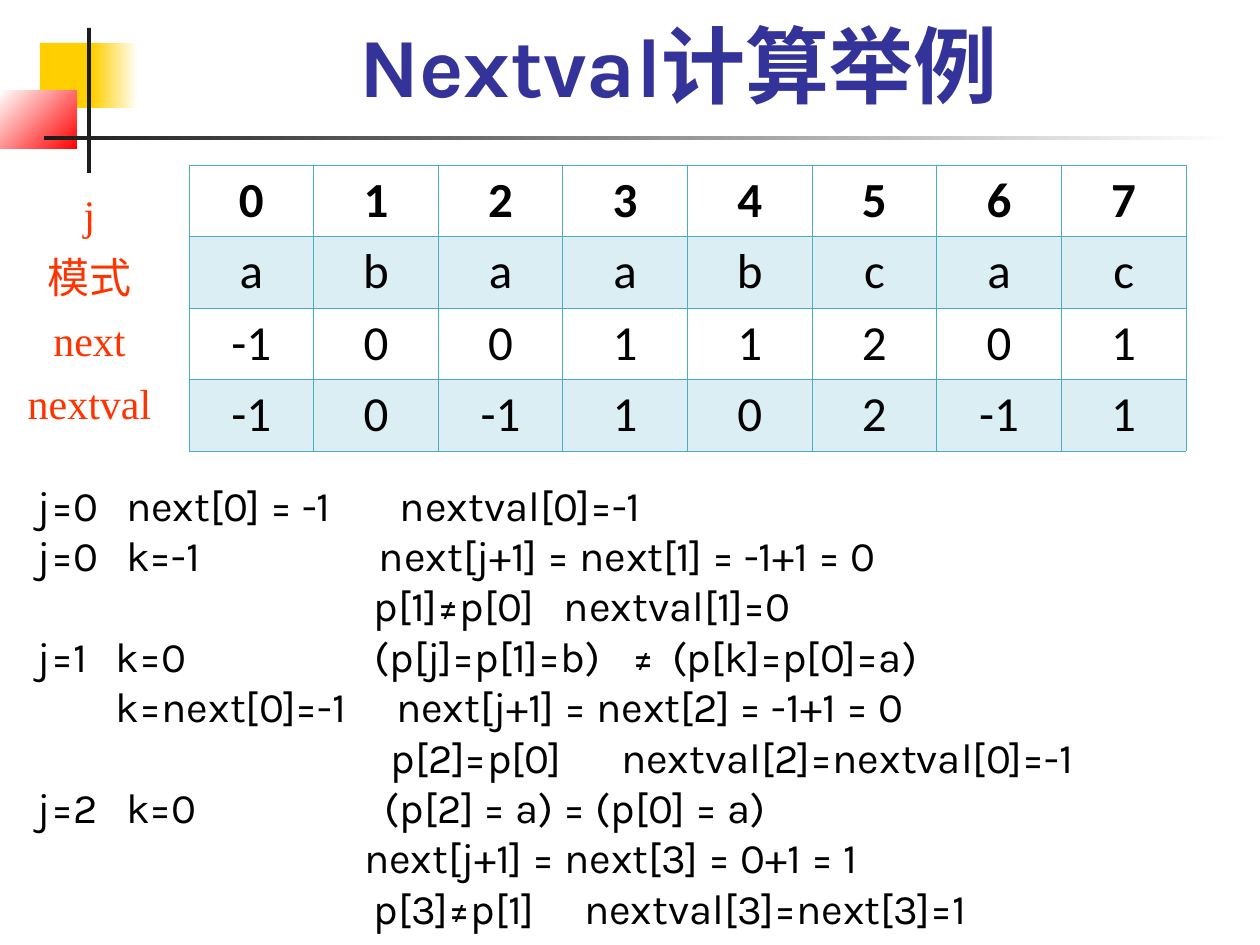
import lxml.etree
import pptx
import pptx.dml.color
import pptx.enum.shapes
import pptx.enum.text
import pptx.oxml.ns
import pptx.util

SCALE = 914400 / 126
RGBColor = pptx.dml.color.RGBColor
GOLD = RGBColor(0xFF, 0xCF, 0x01)
WHITE = RGBColor(0xFF, 0xFF, 0xFF)
RED = RGBColor(0xFF, 0x00, 0x00)
CHARCOAL = RGBColor(0x1C, 0x1C, 0x1C)
NAVY = RGBColor(0x33, 0x33, 0x99)
ORANGE = RGBColor(0xFF, 0x33, 0x00)
BLACK = RGBColor(0x00, 0x00, 0x00)
TEAL = RGBColor(0x4B, 0xAC, 0xC6)
LEFT = pptx.enum.text.PP_ALIGN.LEFT
CENTER = pptx.enum.text.PP_ALIGN.CENTER
MIDDLE = pptx.enum.text.MSO_ANCHOR.MIDDLE
qn = pptx.oxml.ns.qn


def px(*lengths):
    return [pptx.util.Emu(round(length * SCALE)) for length in lengths]


def write_text(frame, text, font, size, color, bold=False, align=LEFT, spacing=None):
    for index, line in enumerate(text.split("\n")):
        paragraph = frame.add_paragraph() if index else frame.paragraphs[0]
        paragraph.alignment = align
        paragraph.line_spacing = spacing
        run = paragraph.add_run()
        run.text = line
        run.font.name = font
        run.font.size = pptx.util.Pt(size)
        run.font.bold = bold
        run.font.color.rgb = color


presentation = pptx.Presentation()
presentation.slide_width, presentation.slide_height = px(1260, 945)
slide = presentation.slides.add_slide(presentation.slide_layouts[6])

decorations = [
    ((40, 43, 61, 65), [GOLD], 0),
    ((93, 43, 45, 65), [GOLD, WHITE], 0),
    ((0, 91, 77, 58), [WHITE, RED], 315),
    ((87, 28, 4, 145), [CHARCOAL], 0),
    ((44, 136, 1191, 4), [CHARCOAL, WHITE], 0),
]
for bounds, colors, angle in decorations:
    shape = slide.shapes.add_shape(pptx.enum.shapes.MSO_SHAPE.RECTANGLE, *px(*bounds))
    shape.shadow.inherit = False
    shape.line.fill.background()
    if len(colors) == 1:
        shape.fill.solid()
        shape.fill.fore_color.rgb = colors[0]
    else:
        shape.fill.gradient()
        shape.fill.gradient_angle = angle
        for stop, color in zip(shape.fill.gradient_stops, colors):
            stop.color.rgb = color

title = slide.shapes.add_textbox(*px(136, 26, 1085, 95)).text_frame
title.word_wrap = True
title.vertical_anchor = pptx.enum.text.MSO_ANCHOR.BOTTOM
write_text(title, "Nextval计算举例", "Karla", 48, NAVY, bold=True, align=CENTER)

labels = slide.shapes.add_textbox(*px(15, 170, 149, 265)).text_frame
labels.word_wrap = False
write_text(labels, "j\n模式\nnext\nnextval", "Times New Roman", 24, ORANGE,
           align=CENTER, spacing=1.25)

rows = [
    "0 1 2 3 4 5 6 7".split(),
    "a b a a b c a c".split(),
    "-1 0 0 1 1 2 0 1".split(),
    "-1 0 -1 1 0 2 -1 1".split(),
]
table = slide.shapes.add_table(len(rows), len(rows[0]), *px(189, 165, 997, 286)).table
table.first_row = False
table.horz_banding = False
for row_index, values in enumerate(rows):
    for column_index, value in enumerate(values):
        cell = table.cell(row_index, column_index)
        cell.vertical_anchor = MIDDLE
        cell.margin_top, cell.margin_bottom = px(5, 5)
        write_text(cell.text_frame, value, "Calibri", 28, BLACK,
                   bold=row_index == 0, align=CENTER)
        properties = cell._tc.get_or_add_tcPr()
        for side in ("lnL", "lnR", "lnT", "lnB"):
            heavy = (row_index, side) in [(0, "lnB"), (1, "lnT")]
            width = pptx.util.Pt(0.96 if heavy else 0.45)
            border = lxml.etree.SubElement(properties, qn(f"a:{side}"), w=str(width))
            solid = lxml.etree.SubElement(border, qn("a:solidFill"))
            lxml.etree.SubElement(solid, qn("a:srgbClr"), val=str(TEAL))
        if row_index % 2:
            cell.fill.solid()
            cell.fill.fore_color.rgb = TEAL
            tint = properties.find(qn("a:solidFill")).find(qn("a:srgbClr"))
            lxml.etree.SubElement(tint, qn("a:alpha"), val="20000")
        else:
            cell.fill.background()

STEPS_START = 38
steps = [
    [(38, "j=0"), (126, "next[0] = -1"), (400, "nextval[0]=-1")],
    [(38, "j=0"), (126, "k=-1"), (379, "next[j+1] = next[1] = -1+1 = 0")],
    [(374, "p[1]≠p[0]"), (564, "nextval[1]=0")],
    [(38, "j=1"), (116, "k=0"), (375, "(p[j]=p[1]=b)"), (633, "≠"), (672, "(p[k]=p[0]=a)")],
    [(116, "k=next[0]=-1"), (396, "next[j+1] = next[2] = -1+1 = 0")],
    [(391, "p[2]=p[0]"), (621, "nextval[2]=nextval[0]=-1")],
    [(38, "j=2"), (126, "k=0"), (385, "(p[2] = a) = (p[0] = a)")],
    [(364, "next[j+1] = next[3] = 0+1 = 1")],
    [(374, "p[3]≠p[1]"), (584, "nextval[3]=next[3]=1")],
]
derivation = slide.shapes.add_textbox(*px(15, 473, 1241, 466)).text_frame
derivation.word_wrap = True
derivation.margin_left = px(STEPS_START - 15)[0]
lines = ["".join(("\t" if x > STEPS_START else "") + part for x, part in step) for step in steps]
write_text(derivation, "\n".join(lines), "Karla", 24, BLACK)
for paragraph, step in zip(derivation.paragraphs, steps):
    tab_list = lxml.etree.SubElement(paragraph._p.get_or_add_pPr(), qn("a:tabLst"))
    for x, part in step:
        if x > STEPS_START:
            position = str(px(x - STEPS_START)[0])
            lxml.etree.SubElement(tab_list, qn("a:tab"), pos=position, algn="l")

presentation.save("out.pptx")
